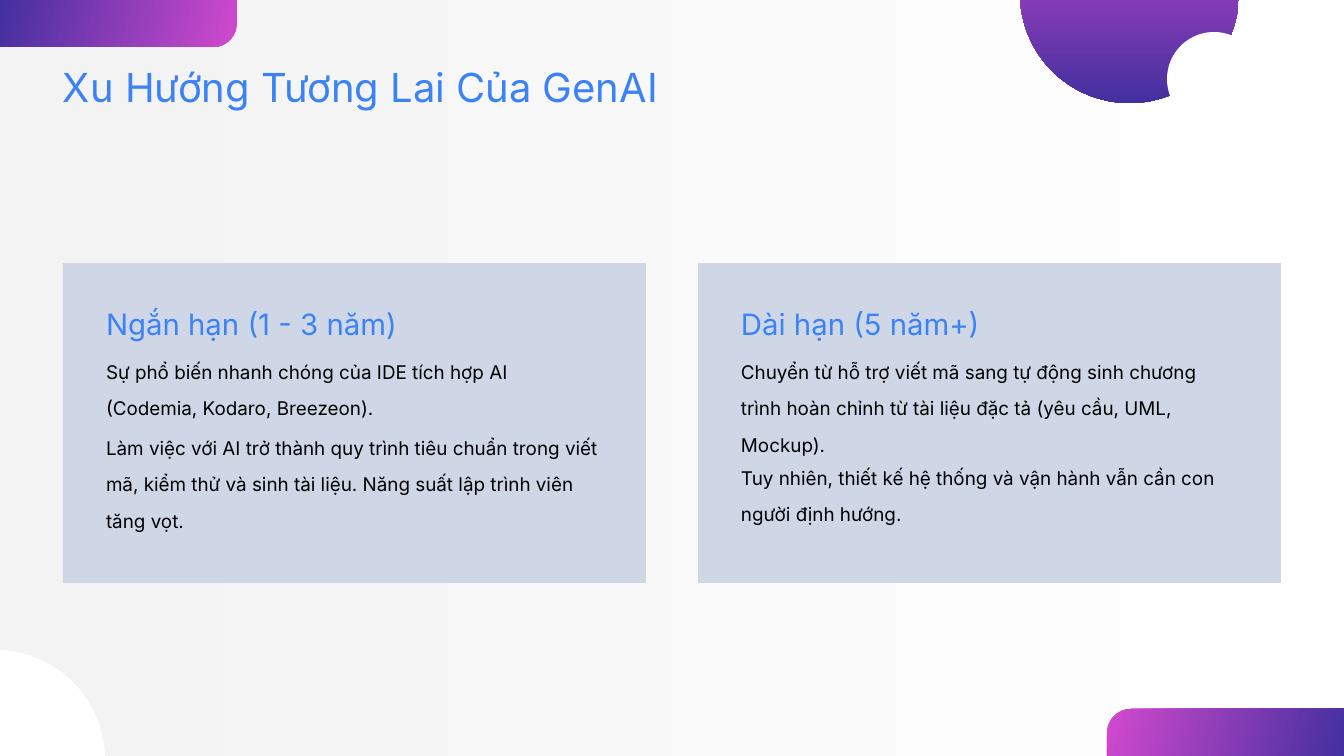
from dataclasses import dataclass
from math import cos, pi, sin

from pptx import Presentation
from pptx.dml.color import RGBColor
from pptx.enum.shapes import MSO_SHAPE
from pptx.enum.text import MSO_ANCHOR, MSO_AUTO_SIZE, PP_ALIGN
from pptx.util import Emu, Pt

RECT, OVAL = MSO_SHAPE.RECTANGLE, MSO_SHAPE.OVAL
TOP, LEFT, FIXED = MSO_ANCHOR.TOP, PP_ALIGN.LEFT, MSO_AUTO_SIZE.NONE

TITLE = "Xu Hướng Tương Lai Của GenAI"
CARDS = [
    ("Ngắn hạn (1 - 3 năm)", [
        ("Sự phổ biến nhanh chóng của IDE tích hợp AI (Codemia, Kodaro, Breezeon).", 2),
        ("Làm việc với AI trở thành quy trình tiêu chuẩn trong viết mã, kiểm thử "
         "và sinh tài liệu. Năng suất lập trình viên tăng vọt.", 3),
    ]),
    ("Dài hạn (5 năm+)", [
        ("Chuyển từ hỗ trợ viết mã sang tự động sinh chương trình hoàn chỉnh "
         "từ tài liệu đặc tả (yêu cầu, UML, Mockup).", 3),
        ("Tuy nhiên, thiết kế hệ thống và vận hành vẫn cần con người định hướng.", 2),
    ]),
]


@dataclass
class Theme:
    font: str = "Inter"
    blue: str = "3B82F6"
    black: str = "000000"
    white: str = "FFFFFF"
    grey: str = "F3F3F3"
    card: str = "CFD7E7"
    pink: str = "D149CE"
    violet: str = "43309F"
    title: tuple = (42.8, 51.3)
    head: tuple = (31.5, 37.8)
    body: tuple = (20.2, 38.9)


theme = Theme()
SCALE = 914400 / 67.2
WIDE, HIGH = 1344, 756
TAB_W, TAB_H, CURVE = 237, 47, 24
CARD_X, CARD_Y, CARD_W, CARD_H, STEP = 63, 263, 583, 320, 635
PAD, BODY_Y, LINE, GAP = 43, 84, 30, 5


def px(n):
    return Emu(round(n * SCALE))


def blend(fill, first, last, angle):
    fill.gradient()
    fill.gradient_angle = angle
    for stop, tone in zip(fill.gradient_stops, (first, last)):
        stop.color.rgb = RGBColor.from_string(tone)


def plain(shape, tone=None):
    shape.shadow.inherit = False
    shape.line.fill.background()
    if tone:
        shape.fill.solid()
        shape.fill.fore_color.rgb = RGBColor.from_string(tone)
    return shape


def block(slide, kind, x, y, w, h, tone=None):
    return plain(slide.shapes.add_shape(kind, px(x), px(y), px(w), px(h)), tone)


def tab(slide, x, y, turn):
    arc = [(x + CURVE * (1 - sin(t)), y + CURVE * (1 - cos(t)))
           for t in (i * pi / 32 for i in range(17))]
    points = arc + [(x, y + TAB_H), (x + TAB_W, y + TAB_H)]
    pen = slide.shapes.build_freeform(px(x + TAB_W), px(y))
    pen.add_line_segments([(px(a), px(b)) for a, b in points], close=True)
    shape = plain(pen.convert_to_shape())
    blend(shape.fill, theme.pink, theme.violet, 345)
    shape.rotation = turn


def write(box, text, style, tone):
    frame = box.text_frame
    frame.word_wrap = True
    frame.auto_size = FIXED
    frame.vertical_anchor = TOP
    frame.margin_left = frame.margin_right = 0
    frame.margin_top = frame.margin_bottom = 0
    para = frame.paragraphs[0]
    para.alignment = LEFT
    para.space_before = Pt(0)
    para.line_spacing = Pt(style[1])
    run = para.add_run()
    run.text = text
    run.font.name = theme.font
    run.font.size = Pt(style[0])
    run.font.color.rgb = RGBColor.from_string(tone)


def label(slide, x, y, w, h, text, style, tone):
    write(slide.shapes.add_textbox(px(x), px(y), px(w), px(h)), text, style, tone)


def card(slide, x, head, notes):
    block(slide, RECT, x, CARD_Y, CARD_W, CARD_H, theme.card)
    label(slide, x + PAD, CARD_Y + PAD, 521, 36, head, theme.head, theme.blue)
    y = CARD_Y + BODY_Y
    for text, lines in notes:
        high = lines * LINE + 11
        label(slide, x + PAD, y, 497, high, text, theme.body, theme.black)
        y += high + GAP


def main():
    deck = Presentation()
    deck.slide_width, deck.slide_height = px(WIDE), px(HIGH)
    slide = deck.slides.add_slide(deck.slide_layouts[5])
    blend(slide.background.fill, theme.white, theme.grey, 180)

    tab(slide, WIDE - TAB_W, HIGH - TAB_H, 0)
    tab(slide, 0, 0, 180)
    block(slide, OVAL, -114, 650, 219, 219, theme.white)
    disc = block(slide, OVAL, 1020, -116, 219, 219)
    blend(disc.fill, theme.pink, theme.violet, 270)
    block(slide, OVAL, 1167, 32, 94, 94, theme.white)

    for i, (head, notes) in enumerate(CARDS):
        card(slide, CARD_X + i * STEP, head, notes)

    title = slide.shapes.title
    title.left, title.top = px(63), px(63)
    title.width, title.height = px(1279), px(48)
    write(title, TITLE, theme.title, theme.blue)
    deck.save("out.pptx")


if __name__ == "__main__":
    main()
